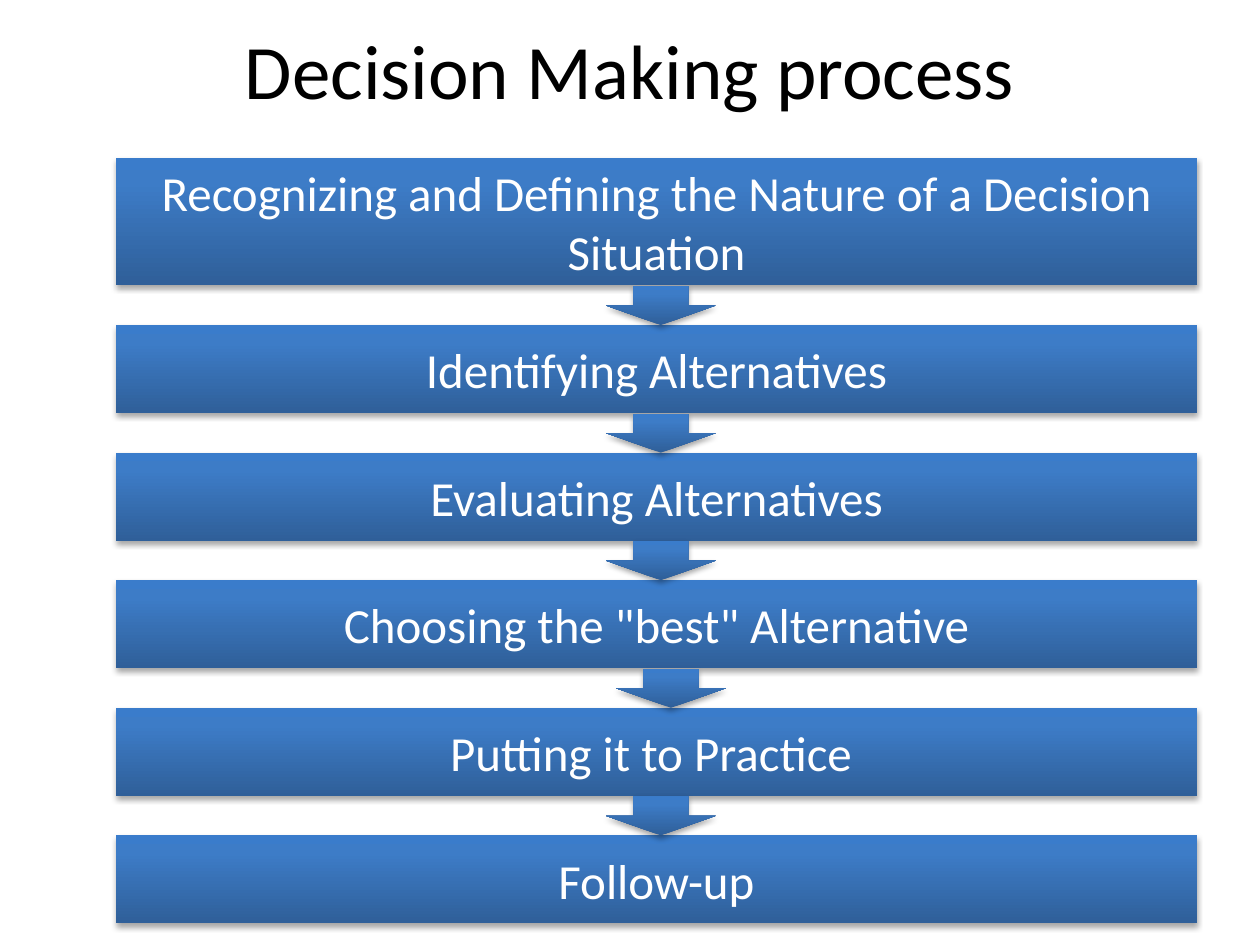
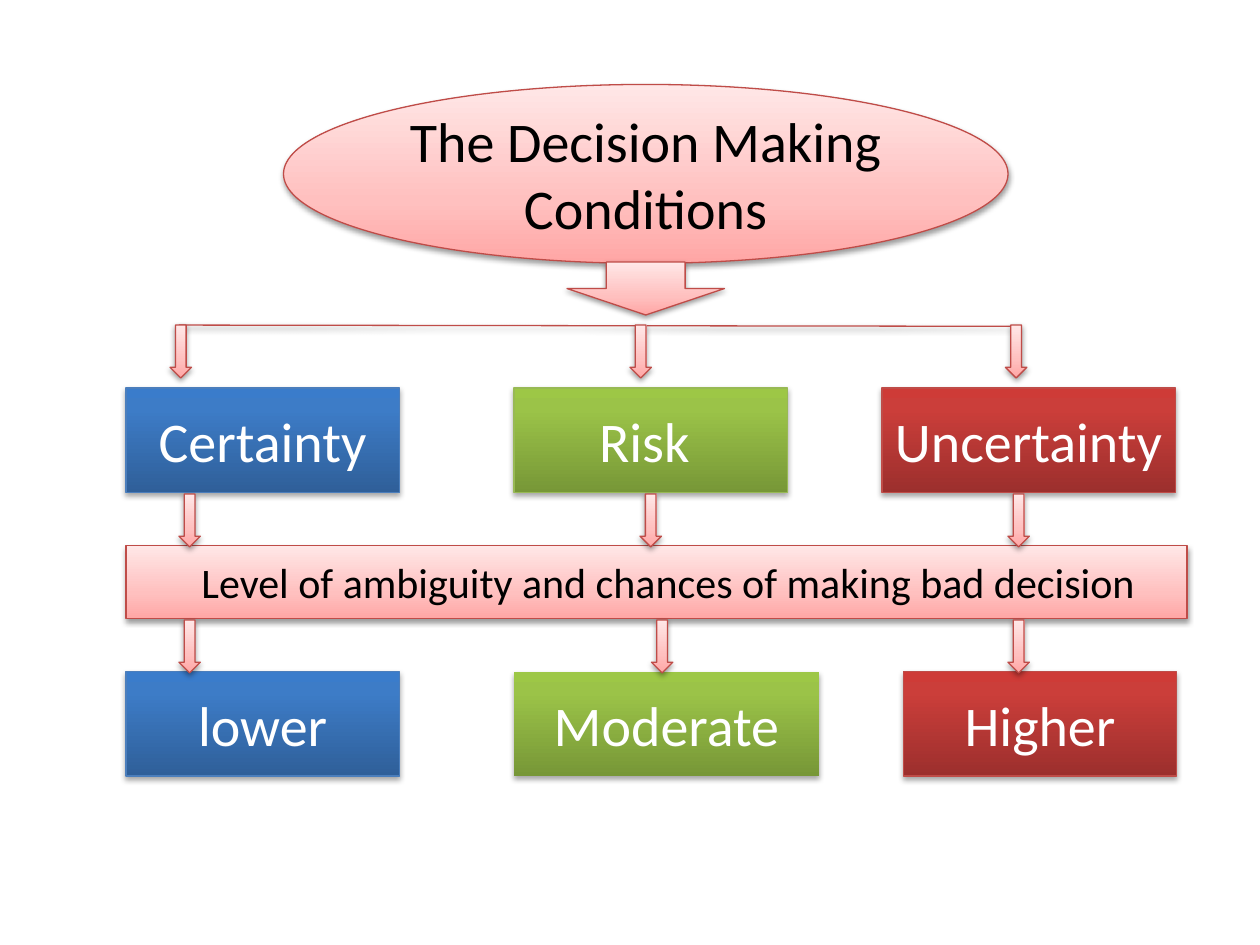
"""Build two slides on the decision making process and its conditions."""
from lxml import etree
from pptx import Presentation
from pptx.dml.color import RGBColor
from pptx.enum.shapes import MSO_CONNECTOR, MSO_SHAPE
from pptx.enum.text import MSO_ANCHOR, PP_ALIGN
from pptx.oxml import parse_xml
from pptx.oxml.ns import nsdecls, qn
from pptx.util import Inches, Pt

RECT, OVAL, ARROW = MSO_SHAPE.RECTANGLE, MSO_SHAPE.OVAL, MSO_SHAPE.DOWN_ARROW
STRAIGHT = MSO_CONNECTOR.STRAIGHT
LEFT, CENTER = PP_ALIGN.LEFT, PP_ALIGN.CENTER
MIDDLE = MSO_ANCHOR.MIDDLE

STRONG_SHADOW = {"alpha": 35000, "dist": 23000}
SOFT_SHADOW = {"alpha": 38000, "dist": 20000}
THEME = {
    "font": "Calibri",
    "black": "000000",
    "white": "FFFFFF",
    "sizes": {"title": 44, "step": 28, "condition": 32, "band": 24},
    "line_width": 0.75,
    "blue": {"stops": ((0, "2F5F99"), (80, "3D7CC7"), (100, "3A7CCB")),
             "line": "4B7EBC", "shadow": STRONG_SHADOW},
    "green": {"stops": ((0, "779737"), (80, "9BC348"), (100, "9DC746")),
              "line": "98B955", "shadow": STRONG_SHADOW},
    "red": {"stops": ((0, "9C2F2D"), (80, "CB3E3A"), (100, "CE3B37")),
            "line": "BF4C48", "shadow": STRONG_SHADOW},
    "pink": {"stops": ((0, "FFA6A5"), (35, "FFC0BF"), (100, "FFE7E7")),
             "line": "BF4C48", "shadow": SOFT_SHADOW},
}


def style(sp, look, outlined=True):
    """Give a shape or connector its gradient, line and shadow."""
    spPr = sp._element.spPr
    if sp._element.tag == qn("p:sp"):
        stops = "".join(
            f'<a:gs pos="{pos * 1000}"><a:srgbClr val="{color}"/></a:gs>'
            for pos, color in look["stops"])
        spPr.insert(2, parse_xml(
            f'<a:gradFill {nsdecls("a")} rotWithShape="1"><a:gsLst>{stops}'
            '</a:gsLst><a:lin ang="16200000" scaled="0"/></a:gradFill>'))
    if outlined:
        sp.line.color.rgb = RGBColor.from_string(look["line"])
        sp.line.width = Pt(THEME["line_width"])
    else:
        sp.line.fill.background()
    effects = etree.SubElement(spPr, qn("a:effectLst"))
    shadow = etree.SubElement(effects, qn("a:outerShdw"), {
        "blurRad": "40000", "dist": str(look["shadow"]["dist"]),
        "dir": "5400000", "rotWithShape": "0"})
    color = etree.SubElement(shadow, qn("a:srgbClr"), val=THEME["black"])
    etree.SubElement(color, qn("a:alpha"), val=str(look["shadow"]["alpha"]))


def write(sp, text, size, color, align=CENTER):
    """Put one paragraph of text into a shape."""
    tf = sp.text_frame
    for name, value in {"word_wrap": True, "vertical_anchor": MIDDLE}.items():
        setattr(tf, name, value)
    p = tf.paragraphs[0]
    p.alignment = align
    r = p.add_run()
    r.text = text
    for name, value in {"name": THEME["font"],
                        "size": Pt(THEME["sizes"][size])}.items():
        setattr(r.font, name, value)
    r.font.color.rgb = RGBColor.from_string(THEME[color])
    return p


prs = Presentation()
prs.slide_width, prs.slide_height = Inches(10), Inches(7.5)
blank = prs.slide_layouts[6]

s = prs.slides.add_slide(blank)
steps = ["Recognizing and Defining the Nature of a Decision Situation",
         "Identifying Alternatives", "Evaluating Alternatives",
         'Choosing the "best" Alternative', "Putting it to Practice ",
         "Follow-up"]
step_pitch, step_height, arrow_height = 1.0125, 0.7, 0.31
second_top = 2.58
for i, text in enumerate(steps):
    top = second_top + (i - 1) * step_pitch if i else 1.25
    height = step_height if i else 1.01
    sp = s.shapes.add_shape(RECT, Inches(0.92), Inches(top),
                            Inches(8.58), Inches(height))
    style(sp, THEME["blue"], outlined=False)
    write(sp, text, "step", "white")
for i, left in enumerate([4.81, 4.81, 4.81, 4.89, 4.81]):
    top = second_top + i * step_pitch - arrow_height
    sp = s.shapes.add_shape(ARROW, Inches(left), Inches(top),
                            Inches(0.87), Inches(arrow_height))
    style(sp, THEME["blue"], outlined=False)
title = s.shapes.add_textbox(Inches(0.5), Inches(-0.08), Inches(9), Inches(1.25))
write(title, "Decision Making process", "title", "black")

s = prs.slides.add_slide(blank)
sp = s.shapes.add_shape(OVAL, Inches(2.25), Inches(0.67), Inches(5.75), Inches(1.42))
style(sp, THEME["pink"])
write(sp, "The Decision Making Conditions", "condition", "black")

sp = s.shapes.add_shape(ARROW, Inches(4.5), Inches(2.08), Inches(1.25), Inches(0.42))
style(sp, THEME["pink"])

sp = s.shapes.add_shape(RECT, Inches(1), Inches(4.33), Inches(8.42), Inches(0.58))
style(sp, THEME["pink"])
p = write(sp, "Level of ambiguity and chances of making bad decision",
          "band", "black", LEFT)
p._p.get_or_add_pPr().set("marL", str(Inches(0.5)))

box_rows = {
    3.08: [("Certainty", 1, 2.17, "blue", True),
           ("Risk ", 4.08, 2.17, "green", True),
           ("Uncertainty", 7, 2.33, "red", True)],
    5.33: [("lower", 1, 2.17, "blue", True),
           ("Moderate", 4.08, 2.42, "green", False),
           ("Higher", 7.17, 2.17, "red", True)],
}
for top, boxes in box_rows.items():
    for text, left, width, look, outlined in boxes:
        sp = s.shapes.add_shape(RECT, Inches(left), Inches(top),
                                Inches(width), Inches(0.83))
        style(sp, THEME[look], outlined)
        write(sp, text, "condition", "white")

branch = s.shapes.add_connector(STRAIGHT, Inches(1.42), Inches(2.58),
                                Inches(8.08), Inches(2.59))
style(branch, THEME["pink"])

arrow_rows = {2.58: (1.35, 5, 7.98), 3.92: (1.42, 5.08, 8), 4.92: (1.42, 5.17, 8)}
for top, lefts in arrow_rows.items():
    for left in lefts:
        sp = s.shapes.add_shape(ARROW, Inches(left), Inches(top),
                                Inches(0.17), Inches(0.42))
        style(sp, THEME["pink"])

prs.save("out.pptx")
